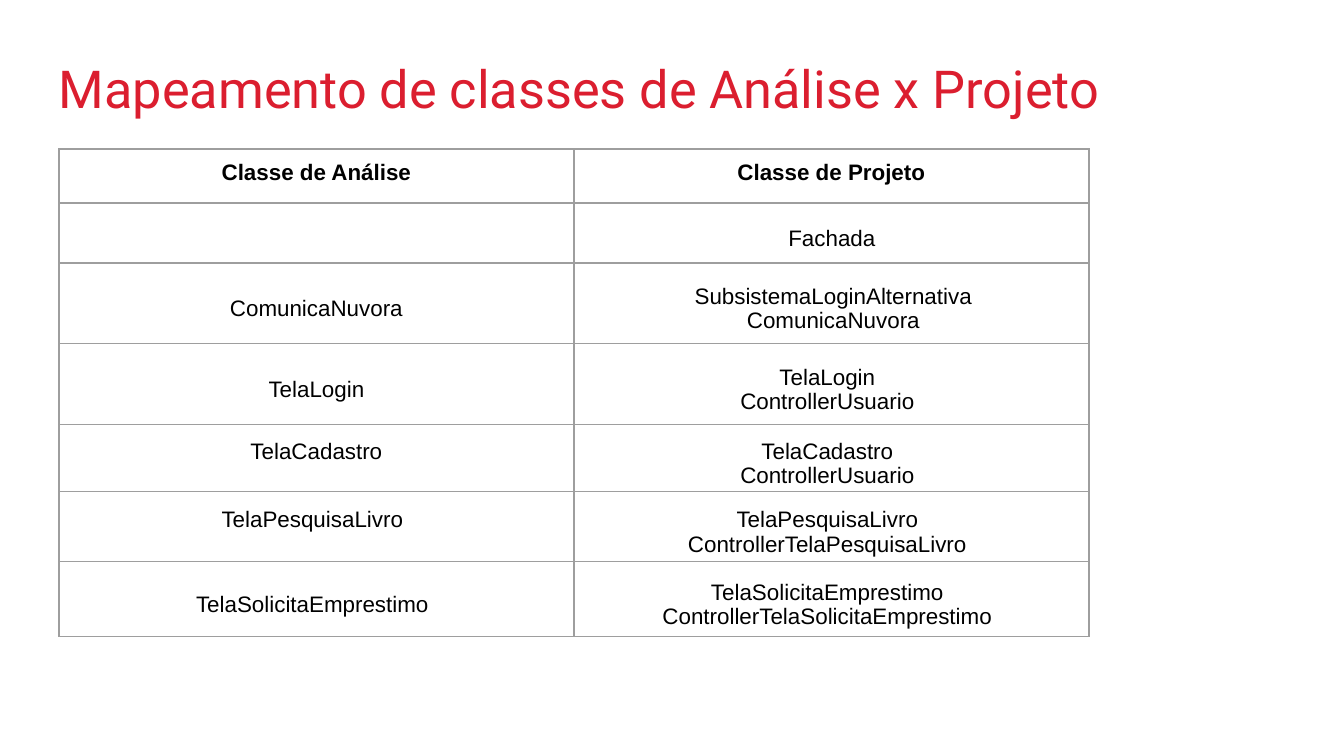
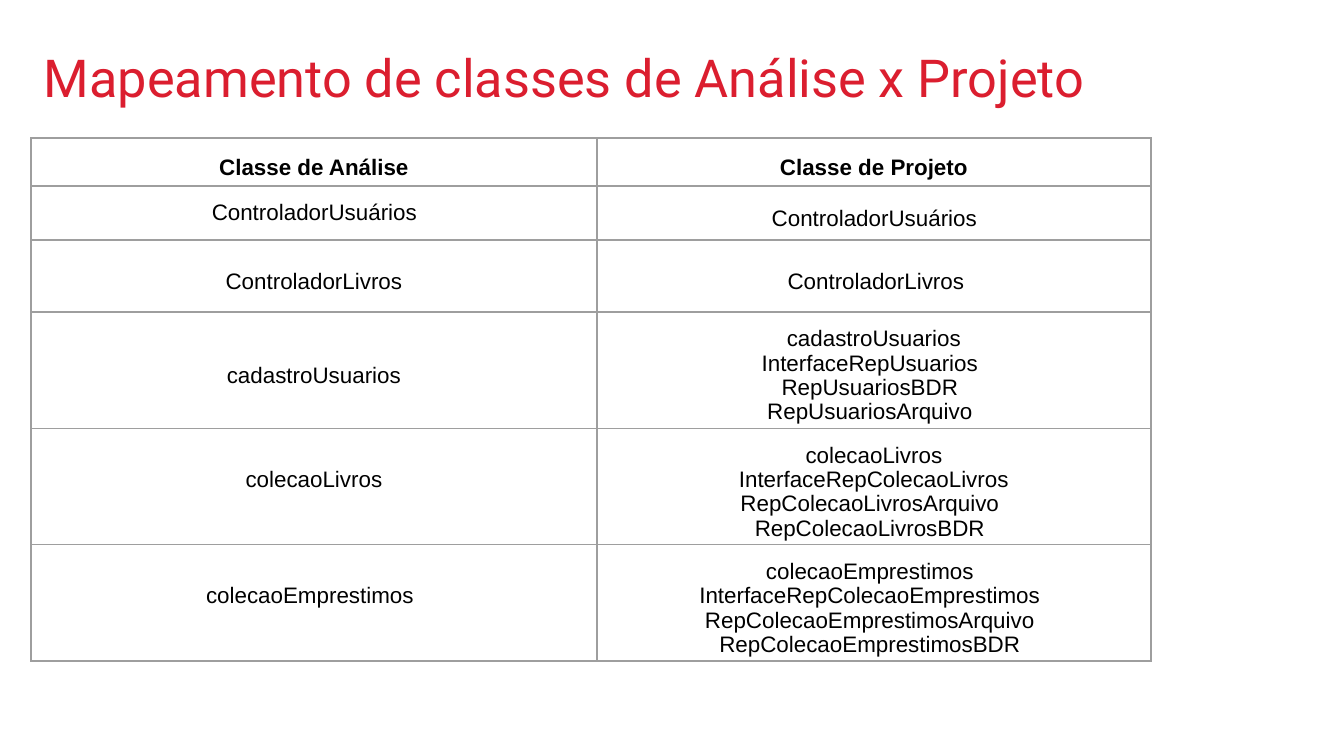
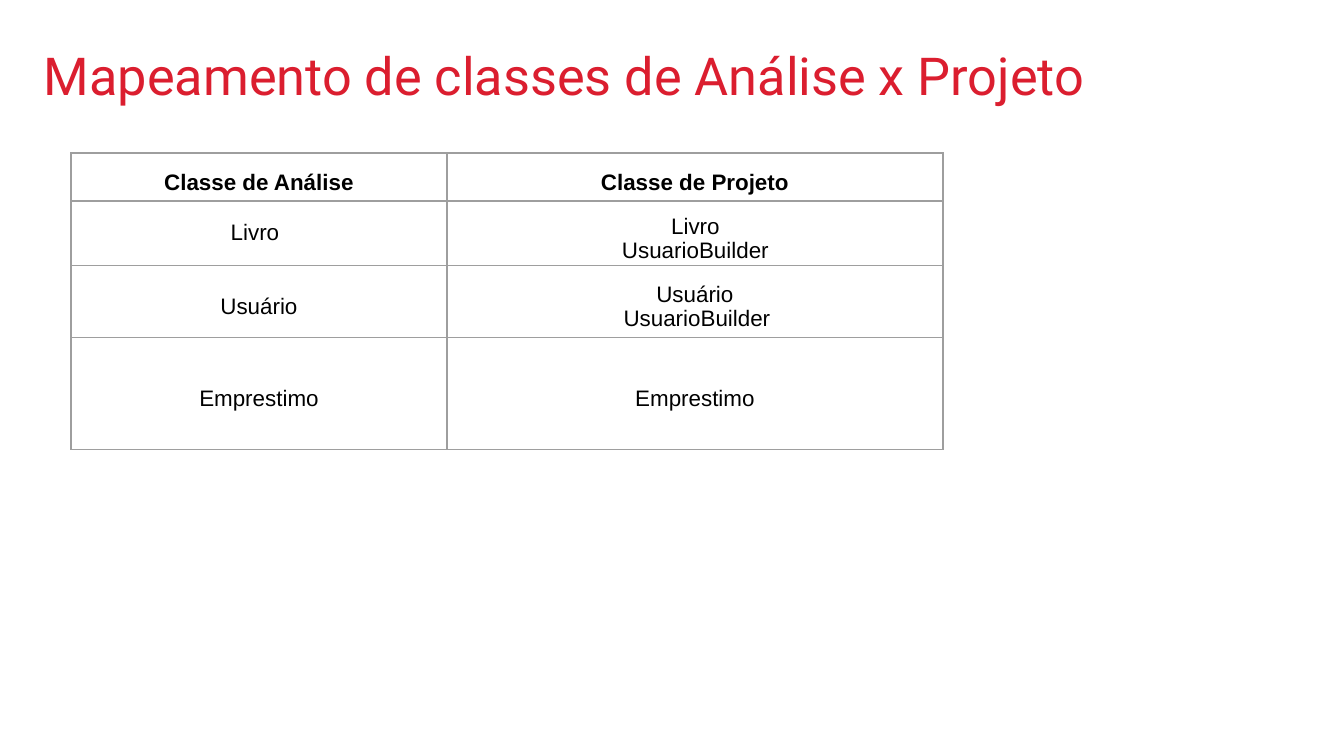
from dataclasses import dataclass
from typing import NamedTuple

from lxml.etree import SubElement as Sub
from pptx import Presentation
from pptx.dml.color import RGBColor as Rgb
from pptx.enum.text import MSO_ANCHOR as Anchor, PP_ALIGN as Align
from pptx.oxml.ns import qn
from pptx.util import Emu, Pt

WIDTH, HEIGHT = 1344, 756
TITLE = "Mapeamento de classes de Análise x Projeto"
HEADS = ("Classe de Análise", "Classe de Projeto")
RED, BLACK, GREY, WHITE = "DB1E2F", "000000", "9E9E9E", "FFFFFF"
PAD = 12
LINE = 25


class Indent(NamedTuple):
    left: int = 0
    first: int = 0
    right: int = 0


FLAT = Indent()
EVEN = Indent(104, 0, 103)
SLIM = Indent(44, 3, 43)
HANG = Indent(168, -84, 92)


class Para(NamedTuple):
    text: str
    indent: Indent = FLAT


@dataclass
class Cell:
    paras: list[Para]
    top: int = PAD
    base: int = 0
    anchor: Anchor = Anchor.MIDDLE
    bold: bool = False


@dataclass
class Page:
    title: tuple[int, int]
    table: tuple[int, int]
    cols: tuple[int, int]
    rows: list[int]
    cells: list[tuple[Cell, Cell]]
    head: Anchor = Anchor.MIDDLE


def px(size: int) -> Emu:
    return Emu(round(size * 9144000 / WIDTH))


def color(code: str) -> Rgb:
    return Rgb.from_string(code)


def cell(*lines: str, indent: Indent = FLAT, top: int = PAD, base: int = 0) -> Cell:
    return Cell([Para(line, indent) for line in lines], top, base)


def hang(*lines: str, top: int = PAD, base: int = 0) -> Cell:
    return cell(*lines, indent=HANG, top=top, base=base)


def mixed(*flat: str, tail: list[str], indent: Indent = HANG) -> Cell:
    """Flat lines first, then indented ones."""
    return Cell([Para(line) for line in flat] + [Para(line, indent) for line in tail])


PAGES = [
    Page((46, 27), (59, 149), (515, 515), [54, 60, 81, 81, 67, 70, 75], [
        (cell(), cell("Fachada", indent=EVEN)),
        (cell("ComunicaNuvora"),
         cell("SubsistemaLoginAlternativa", "ComunicaNuvora", indent=SLIM)),
        (cell("TelaLogin"), hang("TelaLogin", "ControllerUsuario")),
        (cell("TelaCadastro", base=LINE), hang("TelaCadastro", "ControllerUsuario")),
        (hang("TelaPesquisaLivro", base=LINE),
         hang("TelaPesquisaLivro", "ControllerTelaPesquisaLivro")),
        (hang("TelaSolicitaEmprestimo"),
         hang("TelaSolicitaEmprestimo", "ControllerTelaSolicitaEmprestimo")),
    ], Anchor.TOP),
    Page((31, 16), (31, 138), (566, 554), [48, 54, 72, 112, 112, 112], [
        (cell("ControladorUsuários", indent=EVEN, top=0),
         cell("ControladorUsuários", indent=EVEN)),
        (cell("ControladorLivros"), cell("ControladorLivros", indent=SLIM)),
        (cell("cadastroUsuarios"),
         mixed("cadastroUsuarios",
               tail=["InterfaceRepUsuarios", "RepUsuariosBDR", "RepUsuariosArquivo"])),
        (cell("colecaoLivros", base=LINE),
         mixed("colecaoLivros", "InterfaceRepColecaoLivros",
               tail=["RepColecaoLivrosArquivo", "RepColecaoLivrosBDR"])),
        (hang("colecaoEmprestimos", base=LINE),
         hang("colecaoEmprestimos", "InterfaceRepColecaoEmprestimos",
              "RepColecaoEmprestimosArquivo", "RepColecaoEmprestimosBDR")),
    ]),
    Page((31, 14), (71, 153), (376, 496), [48, 54, 72, 112], [
        (hang("Livro", top=0), cell("Livro\vUsuarioBuilder", indent=EVEN)),
        (cell("Usuário"), mixed("Usuário", tail=["UsuarioBuilder"], indent=SLIM)),
        (cell("Emprestimo"), cell("Emprestimo")),
    ]),
]


def style(font, name: str, size: int, code: str, bold: bool = False) -> None:
    font.name, font.size, font.bold = name, Pt(size), bold
    font.color.rgb = color(code)


def add_title(slide, spot: tuple[int, int]) -> None:
    box = slide.shapes.add_textbox(*map(px, spot), px(1253), px(122))
    frame = box.text_frame
    frame.word_wrap = True
    frame.vertical_anchor = Anchor.MIDDLE
    frame.margin_left = frame.margin_right = px(13)
    frame.margin_top = frame.margin_bottom = px(13)
    frame.text = TITLE
    style(frame.paragraphs[0].runs[0].font, "Roboto", 28, RED)


def add_edges(spot) -> None:
    props = spot._tc.get_or_add_tcPr()
    for side in ("lnL", "lnR", "lnT", "lnB"):
        edge = Sub(props, qn(f"a:{side}"), w=str(Pt(0.75)))
        Sub(Sub(edge, qn("a:solidFill")), qn("a:srgbClr"), val=GREY)


def fill_cell(spot, data: Cell) -> None:
    add_edges(spot)
    spot.fill.background()
    spot.margin_left = spot.margin_right = 0
    spot.margin_top, spot.margin_bottom = px(data.top), px(data.base)
    spot.vertical_anchor = data.anchor
    frame = spot.text_frame
    frame.text = "\n".join(para.text for para in data.paras)
    for para, item in zip(frame.paragraphs, data.paras):
        para.alignment = Align.CENTER
        para.line_spacing = 0.97
        props = para._p.get_or_add_pPr()
        for key, size in zip(("marL", "indent", "marR"), item.indent):
            props.set(key, str(px(size)))
        for run in para.runs:
            style(run.font, "Arial", 12, BLACK, data.bold)


def add_grid(slide, page: Page) -> None:
    shape = slide.shapes.add_table(len(page.rows), len(page.cols), *map(px, page.table),
                                   px(sum(page.cols)), px(sum(page.rows)))
    table = shape.table
    table.first_row = table.horz_banding = False
    for col, wide in zip(table.columns, page.cols):
        col.width = px(wide)
    heads = tuple(Cell([Para(text)], anchor=page.head, bold=True) for text in HEADS)
    for row, tall, cells in zip(table.rows, page.rows, [heads, *page.cells]):
        row.height = px(tall)
        for spot, data in zip(row.cells, cells):
            fill_cell(spot, data)


def main() -> None:
    deck = Presentation()
    deck.slide_width, deck.slide_height = px(WIDTH), px(HEIGHT)
    for page in PAGES:
        slide = deck.slides.add_slide(deck.slide_layouts[6])
        slide.background.fill.solid()
        slide.background.fill.fore_color.rgb = color(WHITE)
        add_title(slide, page.title)
        add_grid(slide, page)
    deck.save("out.pptx")


if __name__ == "__main__":
    main()
